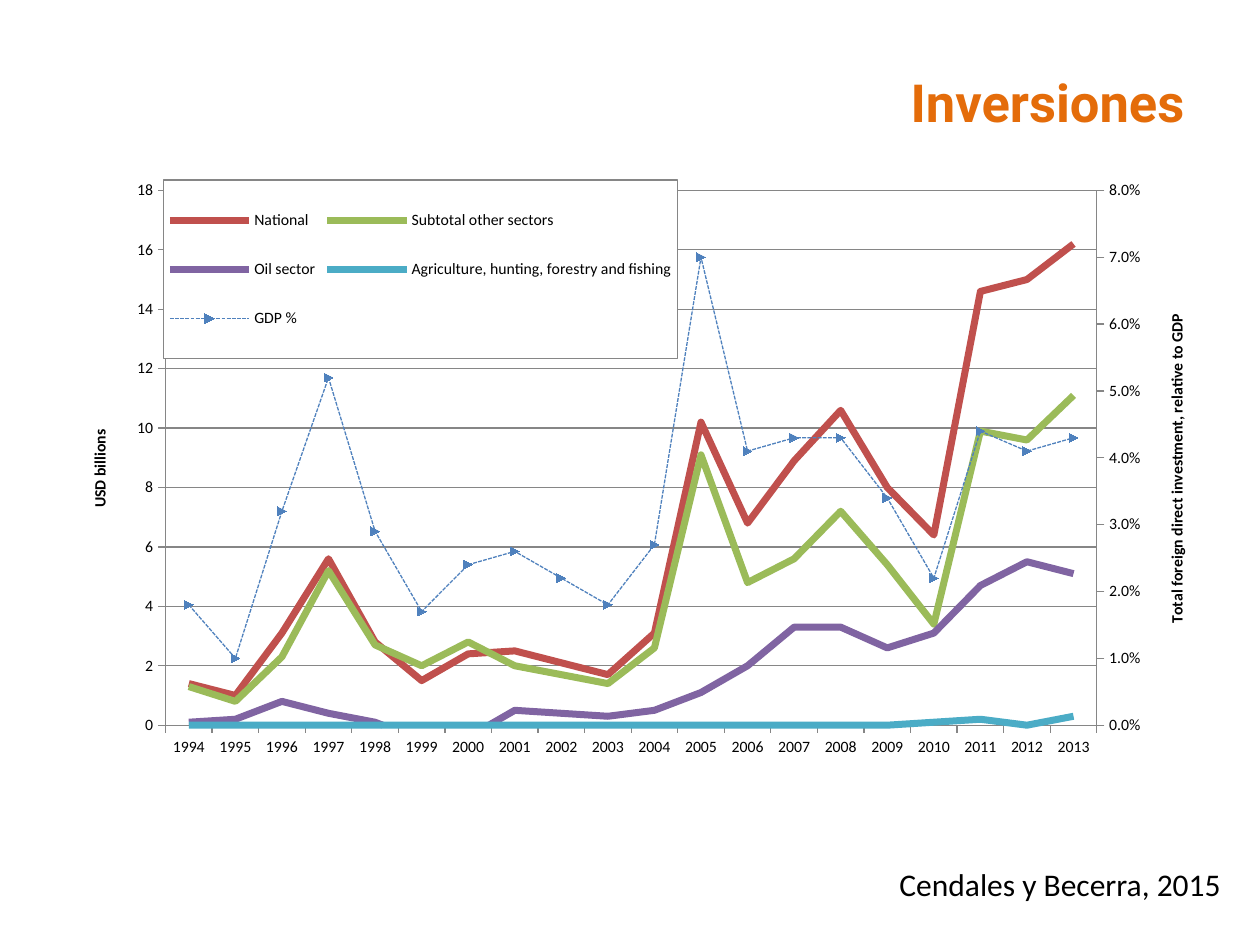
from copy import deepcopy

from pptx import Presentation
from pptx.chart.axis import ValueAxis
from pptx.chart.data import CategoryChartData
from pptx.dml.color import RGBColor
from pptx.enum.chart import (XL_CHART_TYPE, XL_LEGEND_POSITION, XL_MARKER_STYLE,
                             XL_TICK_LABEL_POSITION, XL_TICK_MARK)
from pptx.enum.dml import MSO_LINE
from pptx.enum.text import MSO_ANCHOR, MSO_AUTO_SIZE, PP_ALIGN
from pptx.oxml import parse_xml
from pptx.oxml.ns import nsdecls, qn
from pptx.util import Inches, Pt

COLORS = {
    "title": "E46C0A",
    "text": "000000",
    "axis": "868686",
    "legend": "FFFFFF",
    "National": "C0504D",
    "Subtotal other sectors": "9BBB59",
    "Oil sector": "8064A2",
    "Agriculture, hunting, forestry and fishing": "4BACC6",
    "GDP %": "4F81BD",
}

YEARS = [str(year) for year in range(1994, 2014)]
INVESTMENT = {
    "National": [1.4, 1, 3.1, 5.6, 2.8, 1.5, 2.4, 2.5, 2.1, 1.7,
                 3.1, 10.2, 6.8, 8.9, 10.6, 8, 6.4, 14.6, 15, 16.2],
    "Subtotal other sectors": [1.3, 0.8, 2.3, 5.2, 2.7, 2, 2.8, 2, 1.7, 1.4,
                               2.6, 9.1, 4.8, 5.6, 7.2, 5.4, 3.4, 9.9, 9.6, 11.1],
    "Oil sector": [0.1, 0.2, 0.8, 0.4, 0.1, -0.5, -0.4, 0.5, 0.4, 0.3,
                   0.5, 1.1, 2, 3.3, 3.3, 2.6, 3.1, 4.7, 5.5, 5.1],
    "Agriculture, hunting, forestry and fishing": [0] * 16 + [0.1, 0.2, 0, 0.3],
    "GDP %": [0.018, 0.01, 0.032, 0.052, 0.029, 0.017, 0.024, 0.026, 0.022, 0.018,
              0.027, 0.07, 0.041, 0.043, 0.043, 0.034, 0.022, 0.044, 0.041, 0.043],
}


def color(name):
    return RGBColor.from_string(COLORS[name])


def set_font(font, size, color_name, name="Calibri", bold=False):
    font.name, font.size, font.bold = name, Pt(size), bold
    font.color.rgb = color(color_name)


def add_text(slide, text, left, top, width, height, wrap=True):
    box = slide.shapes.add_textbox(Inches(left), Inches(top), Inches(width), Inches(height))
    frame = box.text_frame
    frame.word_wrap = wrap
    frame.text = text
    return frame, frame.paragraphs[0]


def manual_layout(left, top, width, height, inner=False):
    target = '<c:layoutTarget val="inner"/>' if inner else ""
    return parse_xml(
        f'<c:layout {nsdecls("c")}><c:manualLayout>{target}'
        '<c:xMode val="edge"/><c:yMode val="edge"/>'
        f'<c:x val="{left}"/><c:y val="{top}"/><c:w val="{width}"/><c:h val="{height}"/>'
        '</c:manualLayout></c:layout>')


def style_axis(axis):
    axis.major_tick_mark = XL_TICK_MARK.OUTSIDE
    axis.minor_tick_mark = XL_TICK_MARK.NONE
    axis.format.line.color.rgb = color("axis")
    axis.format.line.width = Pt(0.75)


def style_value_axis(axis, title, maximum, step, number_format):
    style_axis(axis)
    axis.minimum_scale, axis.maximum_scale, axis.major_unit = 0, maximum, step
    axis.tick_labels.number_format = number_format
    axis.tick_labels.number_format_is_linked = False
    frame = axis.axis_title.text_frame
    frame.text = title
    set_font(frame.paragraphs[0].font, 9, "text", bold=True)


def rotate_axis_title(axis_xml):
    body = axis_xml.find(qn("c:title")).find(".//" + qn("a:bodyPr"))
    body.set("rot", "-5400000")
    body.set("vert", "horz")


def add_right_axis(plot_area):
    """Move the last series to a second line plot with its own value axis."""
    first_plot = plot_area.find(qn("c:lineChart"))
    category_xml, value_xml = plot_area.find(qn("c:catAx")), plot_area.find(qn("c:valAx"))
    second_plot, hidden_xml, right_xml = map(deepcopy, (first_plot, category_xml, value_xml))

    first_plot.remove(first_plot.findall(qn("c:ser"))[-1])
    for series in second_plot.findall(qn("c:ser"))[:-1]:
        second_plot.remove(series)
    first_plot.addnext(second_plot)
    value_xml.addnext(right_xml)
    right_xml.addnext(hidden_xml)

    category_id, value_id = "50010", "50020"
    for axis_id, number in zip(second_plot.findall(qn("c:axId")), (category_id, value_id)):
        axis_id.set("val", number)
    for axis, own, other in ((hidden_xml, category_id, value_id),
                             (right_xml, value_id, category_id)):
        axis.find(qn("c:axId")).set("val", own)
        axis.find(qn("c:crossAx")).set("val", other)
    hidden_xml.find(qn("c:delete")).set("val", "1")
    right_xml.find(qn("c:axPos")).set("val", "r")
    right_xml.find(qn("c:crosses")).set("val", "max")

    right_axis = ValueAxis(right_xml)
    right_axis.has_major_gridlines = False
    style_value_axis(right_axis, "Total foreign direct investment, relative to GDP",
                     0.08, 0.01, "0.0%")
    rotate_axis_title(value_xml)
    rotate_axis_title(right_xml)


def style_series(series):
    series.smooth = False
    line = series.format.line
    line.color.rgb = color(series.name)
    if series.name == "GDP %":
        line.width = Pt(0.75)
        line.dash_style = MSO_LINE.SQUARE_DOT
        series.marker.style = XL_MARKER_STYLE.AUTOMATIC
        series.marker.size = 5
        series.marker.format.fill.solid()
        series.marker.format.fill.fore_color.rgb = color(series.name)
    else:
        line.width = Pt(4)
        series.marker.style = XL_MARKER_STYLE.NONE


def add_legend(chart):
    chart.has_legend = True
    legend = chart.legend
    legend.position = XL_LEGEND_POSITION.RIGHT
    legend.include_in_layout = False
    set_font(legend.font, 9, "text")
    legend_xml = chart.element.find(".//" + qn("c:legend"))
    for old in legend_xml.findall(qn("c:layout")):
        legend_xml.remove(old)
    legend_xml.find(qn("c:legendPos")).addnext(manual_layout(0.08, 0.01, 0.45, 0.29))
    legend_xml.find(qn("c:overlay")).addnext(parse_xml(
        f'<c:spPr {nsdecls("c", "a")}>'
        f'<a:solidFill><a:srgbClr val="{COLORS["legend"]}"/></a:solidFill>'
        f'<a:ln w="9525"><a:solidFill><a:srgbClr val="{COLORS["axis"]}"/></a:solidFill></a:ln>'
        '</c:spPr>'))


def add_investment_chart(slide):
    data = CategoryChartData()
    data.categories = YEARS
    for name, values in INVESTMENT.items():
        data.add_series(name, values, "0.0%" if name == "GDP %" else "0.0")
    chart = slide.shapes.add_chart(XL_CHART_TYPE.LINE_MARKERS, Inches(0.57), Inches(1.38),
                                   Inches(9.07), Inches(4.89), data).chart
    chart.has_title = False
    set_font(chart.font, 9, "text")
    for series in chart.plots[0].series:
        style_series(series)

    # Left and bottom axes
    style_axis(chart.category_axis)
    chart.category_axis.tick_label_position = XL_TICK_LABEL_POSITION.LOW
    left_axis = chart.value_axis
    style_value_axis(left_axis, "USD billions", 18, 2, "#,##0")
    left_axis.has_major_gridlines = True
    left_axis.major_gridlines.format.line.color.rgb = color("axis")
    left_axis.major_gridlines.format.line.width = Pt(0.75)

    # Plot position, right axis and legend
    plot_area = chart.element.find(".//" + qn("c:plotArea"))
    for old in plot_area.findall(qn("c:layout")):
        plot_area.remove(old)
    plot_area.insert(0, manual_layout(0.082, 0.027, 0.815, 0.868, inner=True))
    add_right_axis(plot_area)
    add_legend(chart)


def main():
    deck = Presentation()
    deck.slide_width, deck.slide_height = Inches(10), Inches(7.5)
    slide = deck.slides.add_slide(deck.slide_layouts[6])

    # Title
    frame, para = add_text(slide, "Inversiones", 0.57, 0.23, 8.93, 1.15)
    frame.vertical_anchor = MSO_ANCHOR.MIDDLE
    para.alignment = PP_ALIGN.RIGHT
    set_font(para.font, 30, "title", "Roboto", bold=True)

    add_investment_chart(slide)

    # Source
    frame, para = add_text(slide, "Cendales y Becerra, 2015", 7.04, 6.82, 2.78, 0.4, wrap=False)
    frame.auto_size = MSO_AUTO_SIZE.SHAPE_TO_FIT_TEXT
    set_font(para.font, 18, "text")

    deck.save("out.pptx")


if __name__ == "__main__":
    main()
